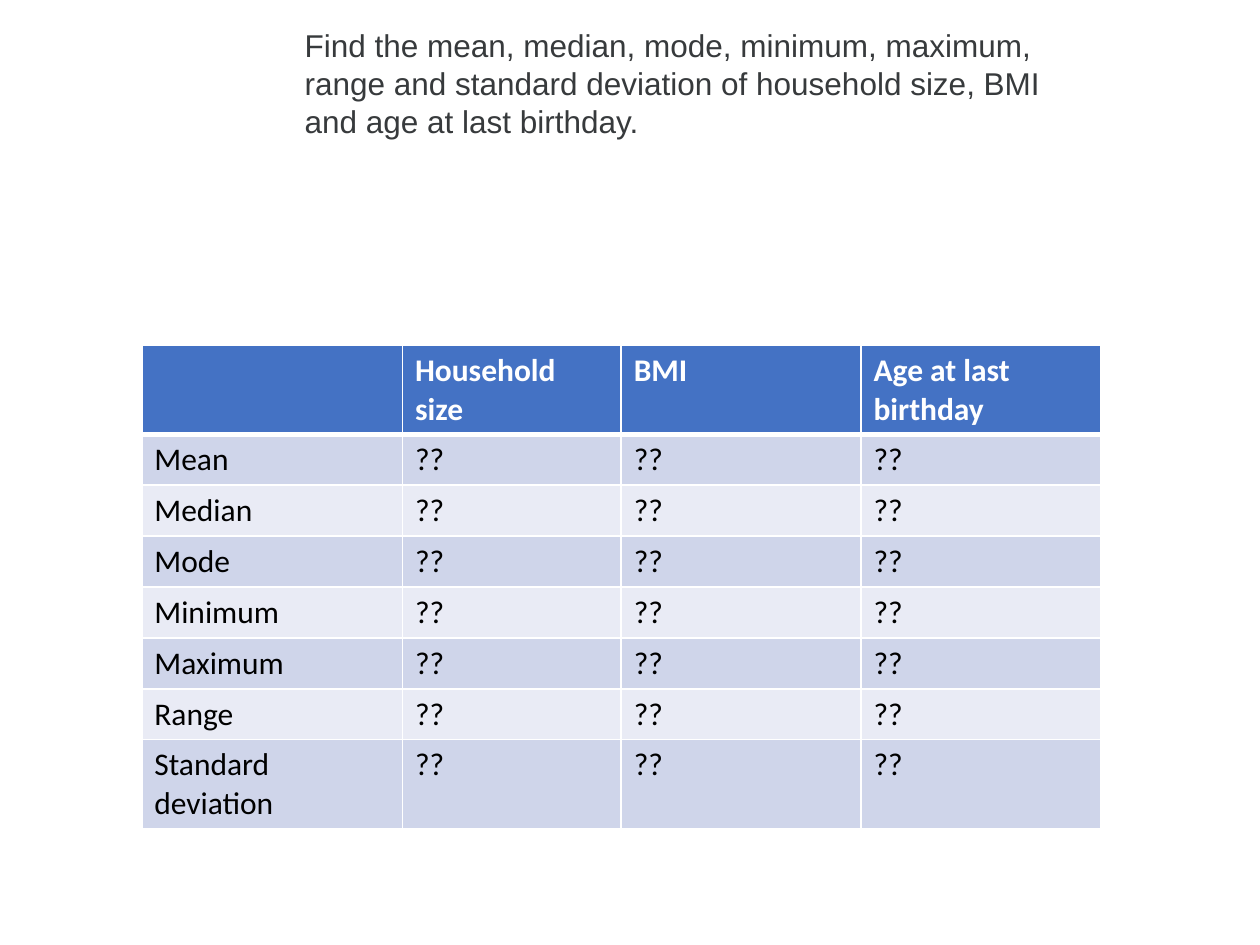
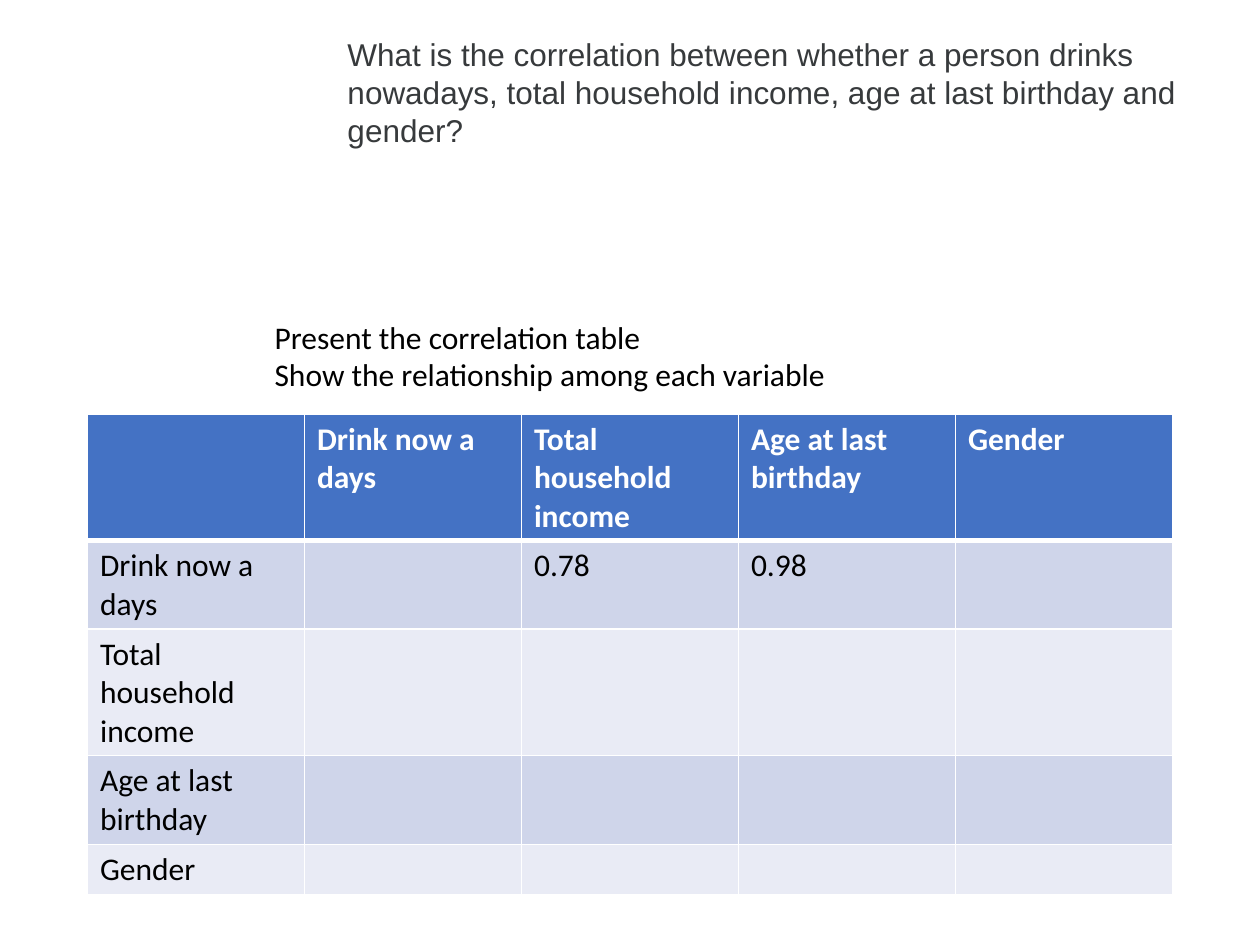
import dataclasses

import lxml.etree
import pptx
import pptx.dml.color
import pptx.enum.text
import pptx.oxml.ns
import pptx.util

Pt = pptx.util.Pt


@dataclasses.dataclass(frozen=True)
class Theme:
    question_font: str = "Arial"
    body_font: str = "Calibri"
    size: int = 18
    question: str = "373A3C"
    text: str = "000000"
    white: str = "FFFFFF"
    header: str = "4472C4"
    bands: tuple = ("CFD5EA", "E9EBF5")
    grid_width: int = 1
    header_rule_width: int = 3
    line_height: float = 21.6
    cell_padding: float = 7.5


THEME = Theme()


def rgb(color):
    return pptx.dml.color.RGBColor.from_string(color)


def style_text(text_frame, font_name, color, bold=False):
    for paragraph in text_frame.paragraphs:
        for run in paragraph.runs:
            run.font.name = font_name
            run.font.size = Pt(THEME.size)
            run.font.bold = bold
            run.font.color.rgb = rgb(color)


def add_text(slide, box, text, font_name, color, wrap=True):
    shape = slide.shapes.add_textbox(*map(Pt, box))
    text_frame = shape.text_frame
    text_frame.text = text
    text_frame.word_wrap = wrap
    text_frame.auto_size = pptx.enum.text.MSO_AUTO_SIZE.SHAPE_TO_FIT_TEXT
    style_text(text_frame, font_name, color)


def add_question(slide, box, text):
    add_text(slide, box, text, THEME.question_font, THEME.question)


def add_instructions(slide, box, lines):
    add_text(slide, box, "\n".join(lines), THEME.body_font, THEME.text, wrap=False)


def set_borders(cell, top_width, bottom_width):
    qn = pptx.oxml.ns.qn
    properties = cell._tc.get_or_add_tcPr()
    widths = {"L": THEME.grid_width, "R": THEME.grid_width, "T": top_width, "B": bottom_width}
    for side, width in widths.items():
        line = lxml.etree.SubElement(properties, qn(f"a:ln{side}"), w=str(Pt(width)))
        fill = lxml.etree.SubElement(line, qn("a:solidFill"))
        lxml.etree.SubElement(fill, qn("a:srgbClr"), val=THEME.white)


def style_cell(cell, row_index):
    is_header = row_index == 0
    grid, rule = THEME.grid_width, THEME.header_rule_width
    set_borders(cell, rule if row_index == 1 else grid, rule if is_header else grid)
    cell.fill.solid()
    band = THEME.bands[(row_index - 1) % len(THEME.bands)]
    cell.fill.fore_color.rgb = rgb(THEME.header if is_header else band)
    color = THEME.white if is_header else THEME.text
    style_text(cell.text_frame, THEME.body_font, color, is_header)


def add_banded_table(slide, position, column_widths, row_lines, rows):
    heights = [THEME.cell_padding + THEME.line_height * count for count in row_lines]
    box = (*position, sum(column_widths), sum(heights))
    table = slide.shapes.add_table(len(rows), len(column_widths), *map(Pt, box)).table
    for column, width in zip(table.columns, column_widths):
        column.width = Pt(width)
    for row_index, (row, height, values) in enumerate(zip(table.rows, heights, rows)):
        row.height = Pt(height)
        for cell, value in zip(row.cells, values):
            cell.text = value
            style_cell(cell, row_index)


def build_statistics_slide(slide):
    add_question(
        slide,
        (167, 11.5, 469, 73),
        "Find the mean, median, mode, minimum, maximum, range and standard deviation "
        "of household size, BMI and age at last birthday.",
    )
    variables = ["Household size", "BMI", "Age at last birthday"]
    statistics = ["Mean", "Median", "Mode", "Minimum", "Maximum", "Range", "Standard deviation"]
    rows = [["", *variables]]
    rows += [[statistic] + ["??"] * len(variables) for statistic in statistics]
    add_banded_table(
        slide, (81, 197.5), (149, 125, 137, 137), (2, 1, 1, 1, 1, 1, 1, 2), rows
    )


def build_correlation_slide(slide):
    add_question(
        slide,
        (191.5, 16.5, 498, 73),
        "What is the correlation between whether a person drinks nowadays, "
        "total household income, age at last birthday and gender?",
    )
    add_instructions(
        slide,
        (149.8, 178, 337, 51),
        ["Present the correlation table", "Show the relationship among each variable"],
    )
    variables = ["Drink now a days", "Total household income", "Age at last birthday", "Gender"]
    correlations = {
        ("Drink now a days", "Total household income"): "0.78",
        ("Drink now a days", "Age at last birthday"): "0.98",
    }
    rows = [["", *variables]]
    for variable in variables:
        rows.append([variable] + [correlations.get((variable, other), "") for other in variables])
    add_banded_table(slide, (50, 236.5), [124] * 5, (3, 2, 3, 2, 1), rows)


def main():
    presentation = pptx.Presentation()
    presentation.slide_width = Pt(720)
    presentation.slide_height = Pt(540)
    blank_layout = presentation.slide_layouts[6]
    for build_slide in (build_statistics_slide, build_correlation_slide):
        build_slide(presentation.slides.add_slide(blank_layout))
    presentation.save("out.pptx")


if __name__ == "__main__":
    main()
